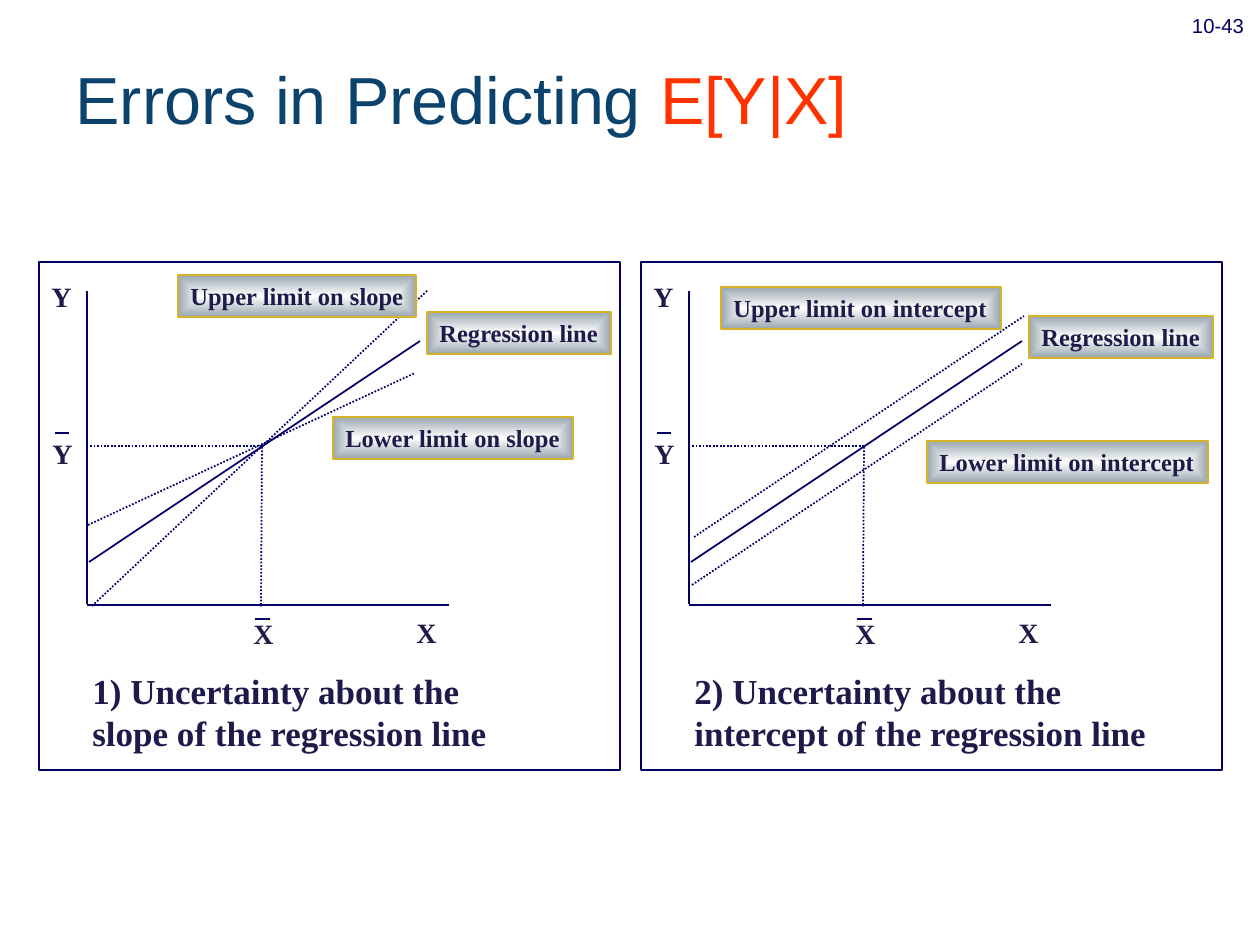
import lxml.etree
import pptx
import pptx.dml.color
import pptx.enum.dml
import pptx.enum.shapes
import pptx.enum.text
import pptx.oxml.ns
import pptx.util

SCALE = 914400 / 126
SERIF, SANS = "Times New Roman", "Arial"
NAVY, INK, GOLD = "000066", "1E1B4B", "D8B228"
PANEL_STEP = 602


def px(*values):
    """Turn pixel lengths into a list of EMU lengths."""
    return [pptx.util.Emu(round(v * SCALE)) for v in values]


def rgb(value):
    """Turn a hex string into a colour."""
    return pptx.dml.color.RGBColor.from_string(value)


def sub(parent, tag, **attrs):
    """Append a namespaced XML child with the given attributes."""
    return lxml.etree.SubElement(parent, pptx.oxml.ns.qn(tag), attrs)


def write(p, text, size=16, font=SERIF, color=INK, bold=True, baseline=None):
    """Add a formatted run to a paragraph."""
    r = p.add_run()
    r.text = text
    r.font.size = pptx.util.Pt(size)
    r.font.name = font
    r.font.bold = bold
    r.font.color.rgb = rgb(color)
    if baseline is not None:
        r.font._element.set("baseline", str(baseline))


class Sketch:
    """Hold the style and the current slide."""

    def __init__(self, s):
        """Start drawing on a slide."""
        self.s = s
        self.x0 = 0

    def title(self, box, *parts):
        """Place the title and write its coloured parts."""
        sp = self.s.shapes.title
        sp.left, sp.top, sp.width, sp.height = px(*box)
        tf = sp.text_frame
        tf.auto_size = pptx.enum.text.MSO_AUTO_SIZE.NONE
        tf.vertical_anchor = pptx.enum.text.MSO_ANCHOR.MIDDLE
        p = tf.paragraphs[0]
        p.alignment = pptx.enum.text.PP_ALIGN.LEFT
        for text, color in parts:
            write(p, text, size=38, font=SANS, color=color, bold=False)

    def line(self, x1, y1, x2, y2, dotted=False):
        """Draw a thin line, solid or dotted."""
        sp = self.s.shapes.add_connector(
            pptx.enum.shapes.MSO_CONNECTOR.STRAIGHT,
            *px(self.x0 + x1, y1, self.x0 + x2, y2))
        sp.line.color.rgb = rgb(NAVY)
        sp.line.width = pptx.util.Pt(1)
        if dotted:
            sp.line.dash_style = pptx.enum.dml.MSO_LINE.ROUND_DOT
        sub(sp._element.spPr, "a:effectLst")

    def text(self, x, y, w, h, text, wrap=False, **fmt):
        """Add a text box and return its paragraph."""
        tf = self.s.shapes.add_textbox(*px(self.x0 + x, y, w, h)).text_frame
        tf.word_wrap = wrap
        tf.auto_size = pptx.enum.text.MSO_AUTO_SIZE.SHAPE_TO_FIT_TEXT
        p = tf.paragraphs[0]
        write(p, text, **fmt)
        return p

    def rect(self, x, y, w, h, color):
        """Add an unfilled outlined rectangle."""
        sp = self.s.shapes.add_shape(
            pptx.enum.shapes.MSO_SHAPE.RECTANGLE, *px(self.x0 + x, y, w, h))
        sp.shadow.inherit = False
        sp.fill.background()
        sp.line.color.rgb = rgb(color)
        sp.line.width = pptx.util.Pt(1)
        return sp

    def tag(self, x, y, w, text):
        """Add a label with a fill that lightens towards its centre."""
        sp = self.rect(x, y, w, 42, GOLD)
        sp.fill.gradient()
        for stop, color in zip(sp.fill.gradient_stops, ("FEFEFE", "98A6AE")):
            stop.color.rgb = rgb(color)
        grad = sp._element.spPr.find(pptx.oxml.ns.qn("a:gradFill"))
        grad.remove(grad.find(pptx.oxml.ns.qn("a:lin")))
        shade = sub(grad, "a:path", path="rect")
        sub(shade, "a:fillToRect", l="50000", t="50000", r="50000", b="50000")
        tf = sp.text_frame
        tf.word_wrap = False
        tf.auto_size = pptx.enum.text.MSO_AUTO_SIZE.SHAPE_TO_FIT_TEXT
        p = tf.paragraphs[0]
        p.alignment = pptx.enum.text.PP_ALIGN.LEFT
        write(p, text, size=14)

    def panel(self, x0, limits, tags, caption, caption_width):
        """Draw one framed regression diagram."""
        self.x0 = x0
        self.line(87, 291, 87, 604)
        self.line(449, 605, 87, 605)
        self.line(89, 562, 420, 341)
        for ends in [(262, 447, 261, 607), (262, 446, 87, 446)] + limits:
            self.line(*ends, dotted=True)
        for x, y, name in ((404, 609, "X"), (39, 273, "Y"),
                           (241, 610, "X"), (40, 430, "Y")):
            self.text(x, y, 45, 45, name)
        self.line(255, 619, 270, 619)
        self.line(55, 433, 69, 433)
        for tag in tags:
            self.tag(*tag)
        self.text(80, 663, caption_width, 96, caption, wrap=True, size=20)
        self.rect(39, 262, 581, 508, NAVY)
        self.x0 = 0


def main():
    """Build and save the slide."""
    prs = pptx.Presentation()
    prs.slide_width, prs.slide_height = px(1260, 945)
    sketch = Sketch(prs.slides.add_slide(prs.slide_layouts[5]))
    sketch.title((63, 19, 1168, 158),
                 ("Errors in Predicting ", "0C436C"), ("E[Y|X]", "FF3300"))
    sketch.panel(
        0, [(92, 606, 428, 290), (88, 525, 415, 373)],
        [(427, 312, 184, "Regression line"),
         (178, 275, 238, "Upper limit on slope"),
         (333, 417, 240, "Lower limit on slope")],
        "1) Uncertainty about the slope of the regression line", 469)
    sketch.panel(
        PANEL_STEP, [(90, 585, 420, 364), (92, 537, 422, 316)],
        [(427, 316, 184, "Regression line"),
         (119, 287, 280, "Upper limit on intercept"),
         (325, 441, 281, "Lower limit on intercept")],
        "2) Uncertainty about the intercept of the regression line", 522)
    p = sketch.text(1171, -16, 94, 60, "10-43", wrap=True, size=20, font=SANS,
                    color=NAVY, bold=False, baseline=-25000)
    p.alignment = pptx.enum.text.PP_ALIGN.CENTER
    p.space_before = pptx.util.Pt(12.5)
    prs.save("out.pptx")


if __name__ == "__main__":
    main()
